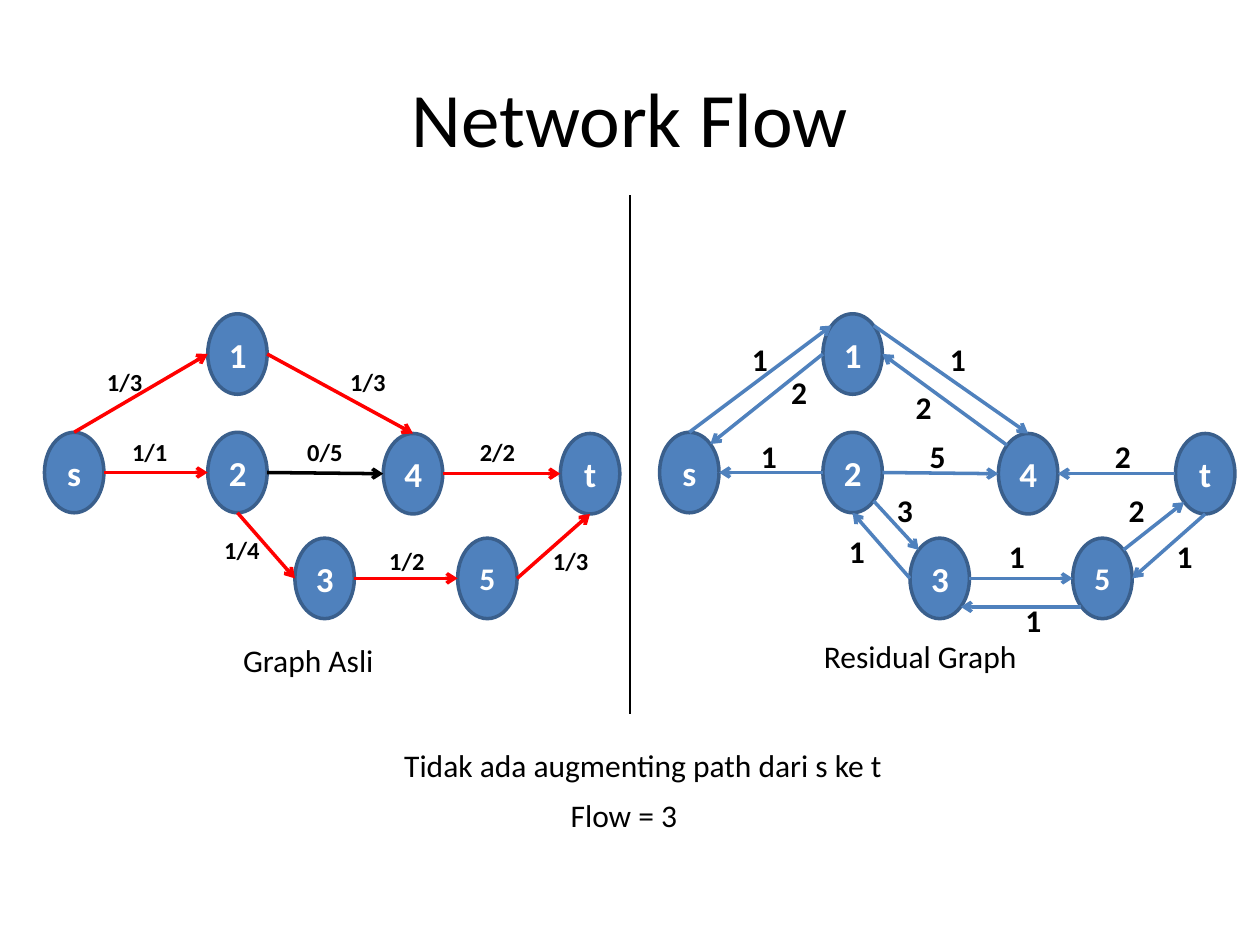
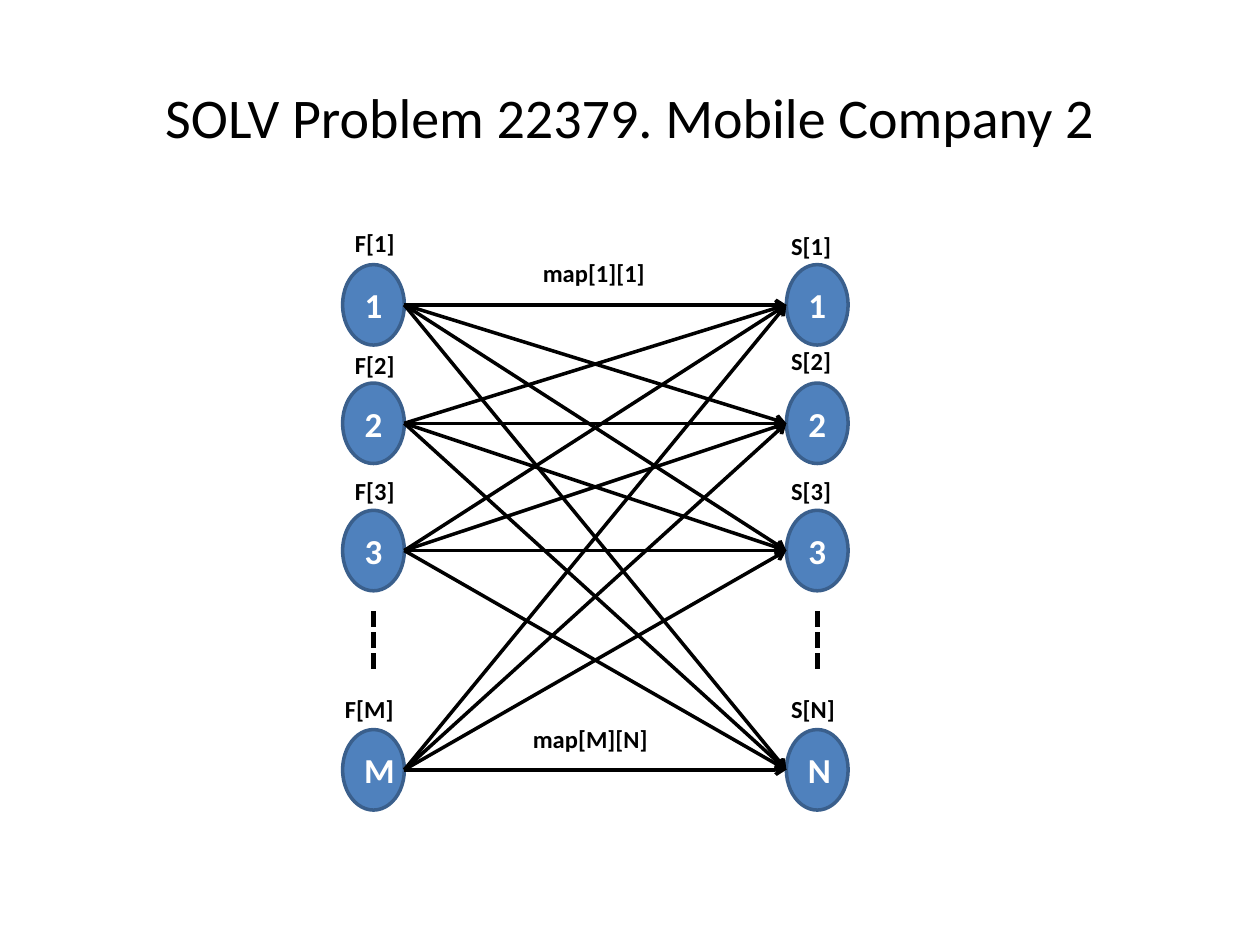
import math
import pptx
import pptx.util
import pptx.dml.color
import pptx.enum.shapes
import pptx.enum.text
import pptx.enum.dml
import pptx.oxml.ns
import lxml.etree


class Theme:
    font = "Calibri"
    black = pptx.dml.color.RGBColor(0, 0, 0)
    white = pptx.dml.color.RGBColor(255, 255, 255)
    red = pptx.dml.color.RGBColor(255, 0, 0)
    blue = pptx.dml.color.RGBColor(0x4F, 0x81, 0xBD)
    rim = pptx.dml.color.RGBColor(0x3A, 0x5F, 0x8C)
    title = 44
    subtle = 32
    node = 20
    text = 18
    label = 14
    stroke = 2


def write(slide, text, left, top, width, height, size, bold=False, oval=False):
    box = [pptx.util.Pt(v) for v in (left, top, width, height)]
    if oval:
        shape = slide.shapes.add_shape(pptx.enum.shapes.MSO_SHAPE.OVAL, *box)
        shape.shadow.inherit = False
        shape.fill.solid()
        shape.fill.fore_color.rgb = Theme.blue
        shape.line.color.rgb = Theme.rim
        shape.line.width = pptx.util.Pt(Theme.stroke)
    else:
        shape = slide.shapes.add_textbox(*box)
    frame = shape.text_frame
    frame.word_wrap = True
    para = frame.paragraphs[0]
    if oval:
        frame.vertical_anchor = pptx.enum.text.MSO_ANCHOR.MIDDLE
        para.alignment = pptx.enum.text.PP_ALIGN.CENTER
    run = para.add_run()
    run.text = text
    run.font.name = Theme.font
    run.font.size = pptx.util.Pt(size)
    run.font.bold = bold
    run.font.color.rgb = Theme.white if oval else Theme.black


def link(slide, start, end, color, width=Theme.stroke, arrow=True):
    line = slide.shapes.add_connector(
        pptx.enum.shapes.MSO_CONNECTOR.STRAIGHT,
        *[pptx.util.Pt(v) for v in (*start, *end)])
    line.line.color.rgb = color
    line.line.width = pptx.util.Pt(width)
    shape = line._element.spPr
    if arrow:
        tail = lxml.etree.SubElement(
            shape.find(pptx.oxml.ns.qn("a:ln")), pptx.oxml.ns.qn("a:tailEnd"))
        tail.set("type", "arrow")
    lxml.etree.SubElement(shape, pptx.oxml.ns.qn("a:effectLst"))
    return line


deck = pptx.Presentation()
deck.slide_width, deck.slide_height = pptx.util.Pt(720), pptx.util.Pt(540)

slides = []
for text, size in [("Network Flow", Theme.title),
                   ("SOLV Problem 22379. Mobile Company 2", Theme.subtle)]:
    slide = deck.slides.add_slide(deck.slide_layouts[5])
    title = slide.shapes.title
    title.left, title.top, title.width, title.height = [
        pptx.util.Pt(v) for v in (36, 21.6, 648, 90)]
    title.text_frame.vertical_anchor = pptx.enum.text.MSO_ANCHOR.MIDDLE
    para = title.text_frame.paragraphs[0]
    para.alignment = pptx.enum.text.PP_ALIGN.CENTER
    run = para.add_run()
    run.text = text
    run.font.name = Theme.font
    run.font.size = pptx.util.Pt(size)
    run.font.color.rgb = Theme.black
    slides.append(slide)
flow, match = slides

wide, high = 34, 46
nodes = {"s": (42.4, 270), "2": (135.7, 270), "4": (236, 270.7), "t": (337.2, 270.7),
         "1": (135.7, 202.3), "3": (185.5, 330.5), "5": (278.5, 330.5)}
turns = {name: math.radians(45 * i)
         for i, name in enumerate(["e", "ne", "n", "nw", "w", "sw", "s", "se"])}

first = [
    ("s", "e", "2", "w", "1/1", 68.4, 246.2),
    ("s", "n", "1", "w", "1/3", 54, 205.9),
    ("2", "e", "4", "w", "0/5", 168.5, 246.2),
    ("4", "e", "t", "w", "2/2", 267.1, 246.2),
    ("1", "e", "4", "n", "1/3", 193, 205.9),
    ("2", "s", "3", "w", "1/4", 121, 302.4),
    ("3", "e", "5", "w", "1/2", 215.3, 308.2),
    ("5", "e", "t", "s", "1/3", 308.9, 308.2),
]
rest = [
    ("t", "w", "4", "e", "2", 630, 246.2),
    ("1", "ne", "4", "n", "1", 535.7, 190.8),
    ("1", "w", "s", "ne", "2", 445, 209.5),
    ("2", "w", "s", "e", "1", 427.7, 246.2),
    ("s", "n", "1", "nw", "1", 422.6, 190.8),
    ("2", "e", "4", "w", "5", 524.2, 246.2),
    ("4", "nw", "1", "e", "2", 516.2, 218.2),
    ("3", "w", "2", "s", "1", 478, 300.2),
    ("5", "sw", "3", "se", "1", 578.9, 339.8),
    ("t", "s", "5", "e", "1", 665.3, 303.1),
    ("2", "se", "3", "nw", "3", 505.4, 277.2),
    ("3", "e", "5", "w", "1", 569.5, 303.1),
    ("5", "ne", "t", "sw", "2", 637.9, 277.2),
]

for shift, edges, color, size, room in [(0, first, Theme.red, Theme.label, 42),
                                        (351.5, rest, Theme.blue, Theme.text, 20)]:
    for name, (x, y) in nodes.items():
        write(flow, name, x + shift - wide / 2, y - high / 2, wide, high,
              Theme.text if name == "5" else Theme.node, True, True)
    for source, leave, target, enter, text, left, top in edges:
        start, end = [
            (nodes[name][0] + shift + wide / 2 * math.cos(turns[port]),
             nodes[name][1] - high / 2 * math.sin(turns[port]))
            for name, port in [(source, leave), (target, enter)]]
        link(flow, start, end, Theme.black if text == "0/5" else color)
        write(flow, text, left, top, room, 29, size, True)

link(flow, (360, 111.6), (360, 408.2), Theme.black, 1, False)
for text, left, top, room in [
        ("Graph Asli", 131.8, 362.9, 93),
        ("Residual Graph", 463.7, 360.7, 134),
        ("Tidak ada augmenting path dari s ke t", 223.9, 422.6, 291),
        ("Flow = 3", 319, 451.4, 86)]:
    write(flow, text, left, top, room, 29, Theme.text)

wide = 35.3
rows = [174.2, 241.9, 314.6, 439.9]
sides = [
    (213.4, "F", "123M", [195.8, 195.8, 195.8, 190], [126.7, 196.6, 268.6, 393.1]),
    (467, "S", "123N", [445] * 4, [128.2, 194.4, 268.6, 393.1]),
]
for mid, group, names, lefts, tops in sides:
    for name, y, left, top in zip(names, rows, lefts, tops):
        write(match, name, mid - wide / 2, y - high / 2, wide, high, Theme.node, True, True)
        write(match, f"{group}[{name}]", left, top, 52, 24.5, Theme.label, True)
    dots = link(match, (mid, 349.2), (mid, 383), Theme.black, 3, False)
    dots.line.dash_style = pptx.enum.dml.MSO_LINE.SQUARE_DOT

for start in rows:
    for end in rows:
        link(match, (sides[0][0] + wide / 2, start), (sides[1][0] - wide / 2, end), Theme.black)

write(match, "map[1][1]", 303.1, 144, 80, 24.5, Theme.label, True)
write(match, "map[M][N]", 297.4, 410.4, 86, 24.5, Theme.label, True)

deck.save("out.pptx")
